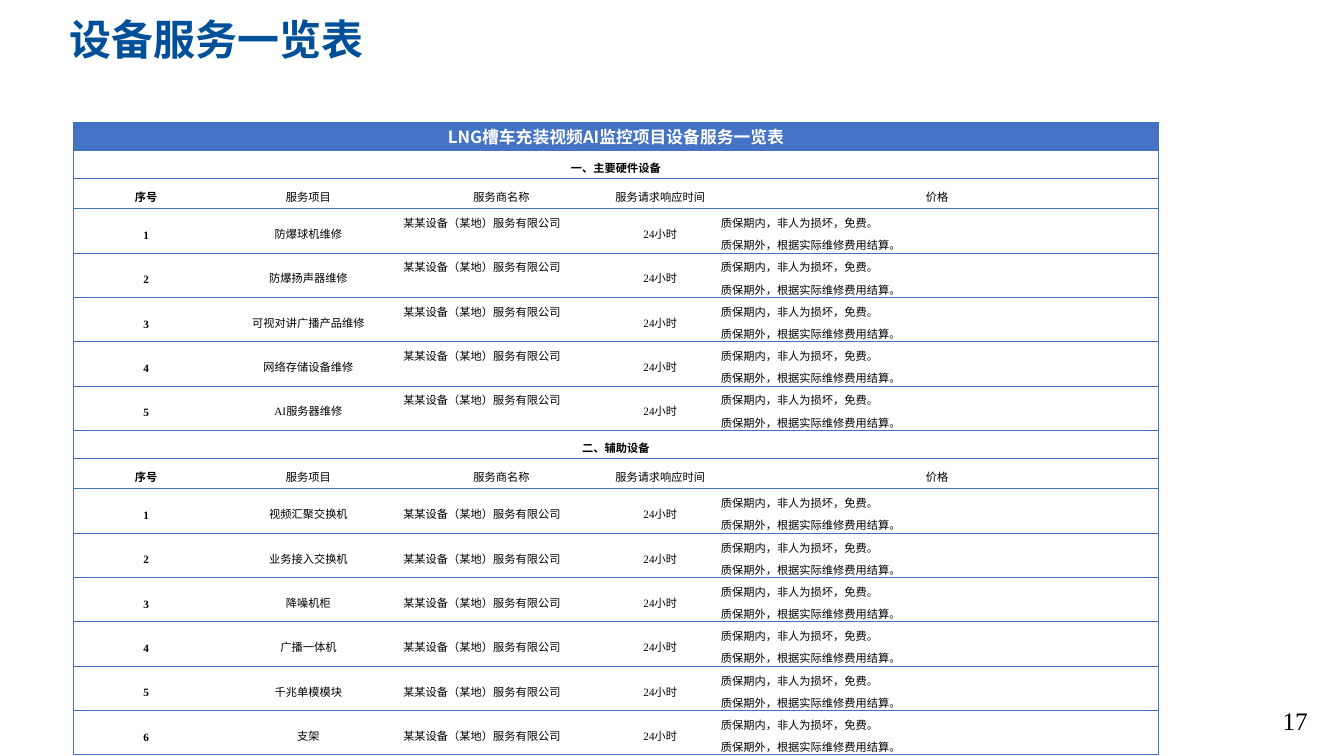
from dataclasses import dataclass

from lxml import etree
from pptx import Presentation
from pptx.dml.color import RGBColor
from pptx.enum.text import MSO_ANCHOR, PP_ALIGN
from pptx.oxml.ns import qn
from pptx.util import Inches, Pt

LEFT, CENTER, RIGHT = PP_ALIGN.LEFT, PP_ALIGN.CENTER, PP_ALIGN.RIGHT
TOP, MIDDLE = MSO_ANCHOR.TOP, MSO_ANCHOR.MIDDLE


@dataclass(frozen=True)
class Theme:
    navy: str = "004F99"
    blue: str = "4472C4"
    black: str = "000000"
    white: str = "FFFFFF"
    sans: str = "Noto Sans CJK SC"
    serif: str = "Times New Roman"
    title: float = 30
    page: float = 18
    banner: float = 12
    body: float = 8
    lead: float = 15.8
    rule: float = 0.5


THEME = Theme()
MAKER = "某某设备（某地）服务有限公司"
TERMS = "质保期内，非人为损坏，免费。\n质保期外，根据实际维修费用结算。"
HEADS = ["序号", "服务项目", "服务商名称", "服务请求响应时间", "价格"]
GROUPS = [
    ("一、主要硬件设备", TOP,
     ["防爆球机维修", "防爆扬声器维修", "可视对讲广播产品维修", "网络存储设备维修", "AI服务器维修"]),
    ("二、辅助设备", MIDDLE,
     ["视频汇聚交换机", "业务接入交换机", "降噪机柜", "广播一体机", "千兆单模模块", "支架"]),
]
WIDTHS = [1.44, 1.78, 2.05, 1.1, 4.39]
BAND, HEAD, ITEM = 0.28, 0.3, 0.44


def write(frame, text, *, size, color, font, bold=False, align=LEFT, lead=None):
    """Fill a text frame, one paragraph for each line of text."""
    for i, line in enumerate(text.split("\n")):
        para = frame.paragraphs[0] if i == 0 else frame.add_paragraph()
        para.alignment = align
        if lead:
            para.line_spacing = lead
        run = para.add_run()
        run.text = line
        run.font.size = Pt(size)
        run.font.bold = bold
        run.font.color.rgb = RGBColor.from_string(color)
        run.font.name = font
        asian = etree.SubElement(run.font._element, qn("a:ea"))
        asian.set("typeface", THEME.sans)


def edge(cell, sides):
    """Rule the named sides of a cell and clear the others."""
    props = cell._tc.get_or_add_tcPr()
    for i, side in enumerate("LRTB"):
        line = etree.Element(qn("a:ln" + side), w=str(Pt(THEME.rule)))
        if side in sides:
            fill = etree.SubElement(line, qn("a:solidFill"))
            etree.SubElement(fill, qn("a:srgbClr"), val=THEME.blue)
        else:
            etree.SubElement(line, qn("a:noFill"))
        props.insert(i, line)


class Deck:
    def __init__(self, theme):
        self.theme = theme
        self.file = Presentation()
        self.file.slide_width, self.file.slide_height = Inches(13.33), Inches(7.5)
        self.slide = self.file.slides.add_slide(self.file.slide_layouts[6])

    def text(self, box, text, anchor=TOP, **style):
        frame = self.slide.shapes.add_textbox(*map(Inches, box)).text_frame
        frame.word_wrap = True
        frame.vertical_anchor = anchor
        write(frame, text, **style)

    def grid(self, left, top, widths, heights):
        shape = self.slide.shapes.add_table(
            len(heights), len(widths), Inches(left), Inches(top),
            Inches(sum(widths)), Inches(sum(heights)))
        table = shape.table
        table.first_row = table.horz_banding = False
        for col, width in zip(table.columns, widths):
            col.width = Inches(width)
        for row, height in zip(table.rows, heights):
            row.height = Inches(height)
        return table

    def cell(self, cell, text, sides, fill=None, anchor=MIDDLE, **style):
        cell.margin_left = cell.margin_right = Inches(0.05)
        cell.margin_top = cell.margin_bottom = 0
        cell.vertical_anchor = anchor
        if fill:
            cell.fill.solid()
            cell.fill.fore_color.rgb = RGBColor.from_string(fill)
        else:
            cell.fill.background()
        edge(cell, sides)
        if text:
            write(cell.text_frame, text, **style)

    def band(self, table, row, text, **style):
        """Write one line of text across a whole row."""
        cells = list(table.rows[row].cells)
        cells[0].merge(cells[-1])
        for i, cell in enumerate(cells):
            self.cell(cell, "" if i else text, "LRTB", align=CENTER, bold=True, **style)

    def row(self, table, row, texts, aligns, anchors):
        last = len(texts) - 1
        for i, (text, align, anchor) in enumerate(zip(texts, aligns, anchors)):
            sides = "TB" + ("L" if i == 0 else "") + ("R" if i == last else "")
            self.cell(table.cell(row, i), text, sides, anchor=anchor, align=align,
                      bold=i == 0, **self.plain())

    def plain(self):
        t = self.theme
        return dict(size=t.body, color=t.black, font=t.serif, lead=Pt(t.lead))


def main():
    t = THEME
    deck = Deck(t)
    deck.text((10.07, 6.95, 3, 0.4), "17", size=t.page, color=t.black,
              font=t.serif, align=RIGHT)
    deck.text((0.59, 0, 11.5, 0.83), "设备服务一览表", anchor=MIDDLE, size=t.title,
              color=t.navy, font=t.sans, bold=True, lead=0.9)

    heights = [BAND]
    for _, _, items in GROUPS:
        heights += [BAND, HEAD] + [ITEM] * len(items)
    table = deck.grid(0.73, 1.21, WIDTHS, heights)
    deck.band(table, 0, "LNG槽车充装视频AI监控项目设备服务一览表", fill=t.blue,
              size=t.banner, color=t.white, font=t.sans)

    row = 1
    for name, anchor, items in GROUPS:
        deck.band(table, row, name, **deck.plain())
        deck.row(table, row + 1, HEADS, [CENTER] * 5, [MIDDLE] * 5)
        row += 2
        for number, item in enumerate(items, 1):
            deck.row(table, row, [str(number), item, MAKER, "24小时", TERMS],
                     [CENTER, CENTER, LEFT, CENTER, LEFT],
                     [MIDDLE, MIDDLE, anchor, MIDDLE, MIDDLE])
            row += 1
    deck.file.save("out.pptx")


if __name__ == "__main__":
    main()
